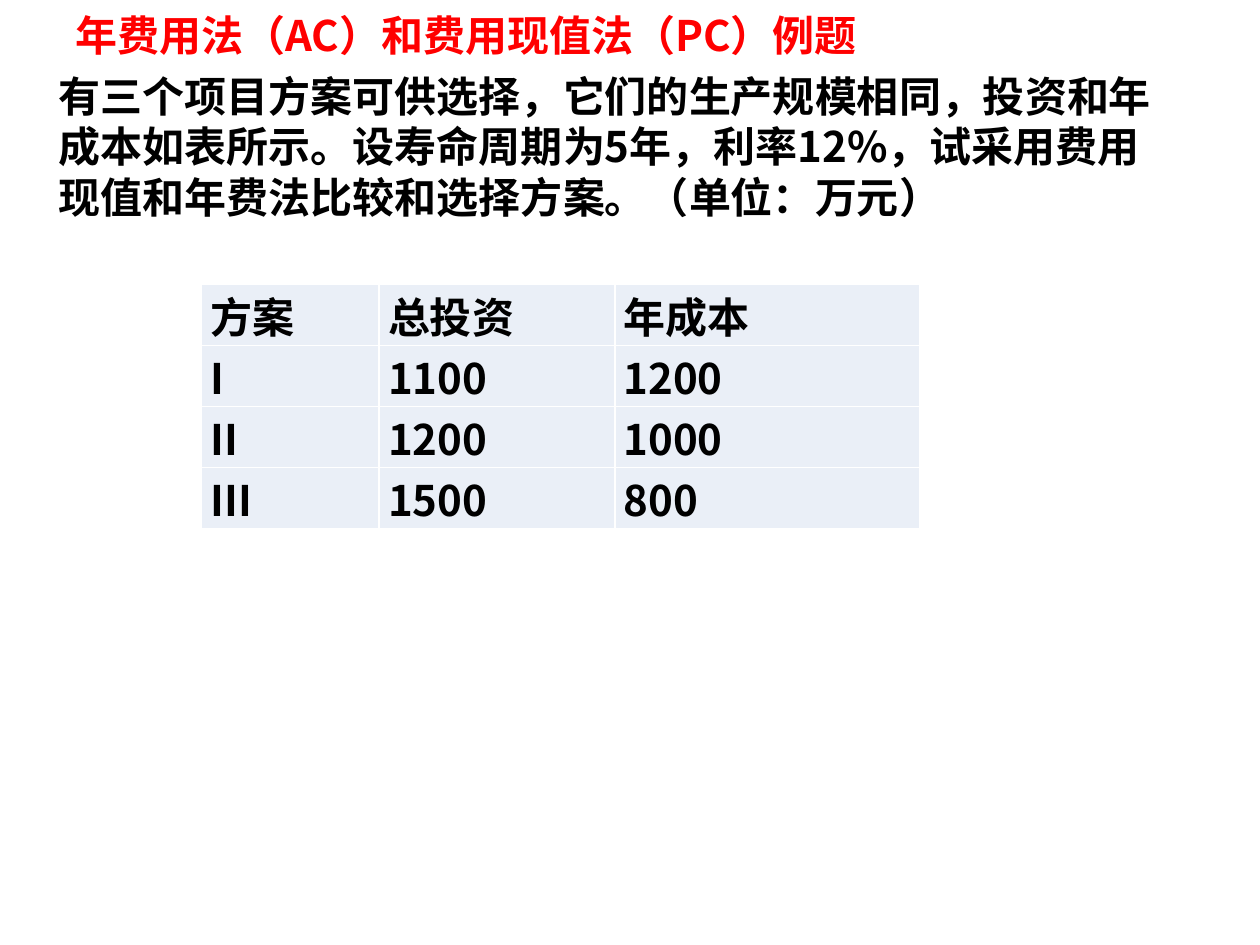
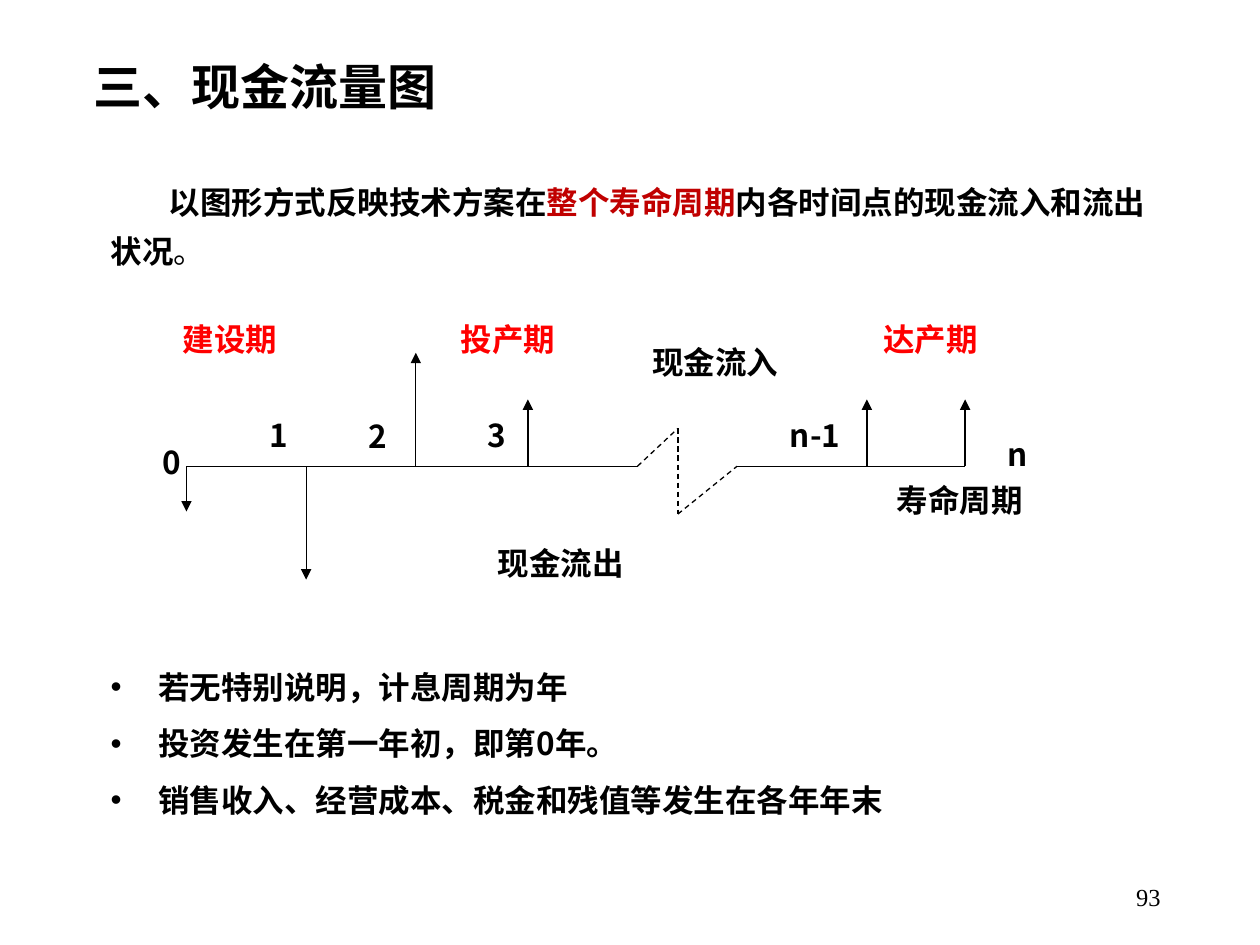
from dataclasses import dataclass

from lxml.etree import SubElement
from pptx import Presentation
from pptx.dml.color import RGBColor
from pptx.enum.dml import MSO_LINE
from pptx.enum.shapes import MSO_CONNECTOR
from pptx.enum.text import MSO_ANCHOR, PP_ALIGN
from pptx.oxml.ns import qn
from pptx.util import Inches, Pt


@dataclass(frozen=True)
class Theme:
    sans: str = "Noto Sans CJK SC"
    serif: str = "Times New Roman"
    ink: str = "000000"
    red: str = "FF0000"
    dark_red: str = "C00000"
    cell: str = "EAEFF7"
    rule: str = "FFFFFF"
    heading: int = 28
    large: int = 24
    body: int = 18
    page: int = 14
    line: float = 0.75


T = Theme()
WIDTH, HEIGHT = 10, 7.5

# ---- Content: example slide ----
EXAMPLE_TITLE = "年费用法（AC）和费用现值法（PC）例题"
EXAMPLE_TEXT = ("有三个项目方案可供选择，它们的生产规模相同，投资和年成本如表所示。"
                "设寿命周期为5年，利率12%，试采用费用现值和年费法比较和选择方案。（单位：万元）")
PLANS = [
    ("方案", "总投资", "年成本"),
    ("I", "1100", "1200"),
    ("II", "1200", "1000"),
    ("III", "1500", "800"),
]
PLAN_COLS = (1.41, 1.87, 2.42)
PLAN_ROW = 0.48

# ---- Content: cash flow slide ----
FLOW_TITLE = "三、现金流量图"
FLOW_TEXT = [  # text, colour, bold
    ("以图形方式反映技术方案在", T.ink, True),
    ("整个寿命周期", T.dark_red, True),
    ("内各时间点的现金流入和流出状况", T.ink, True),
    ("。", T.ink, False),
]
NOTES = ["若无特别说明，计息周期为年",
         "投资发生在第一年初，即第0年。",
         "销售收入、经营成本、税金和残值等发生在各年年末"]
PAGE = "93"

AXIS = 3.7  # height of the time axis
PERIOD_TOP = 2.49
PERIODS = [("建设期", 1.35), ("投产期", 3.56), ("达产期", 6.91)]
FLOWS = [  # x, signed length: inflow up, outflow down
    (1.48, -0.36), (2.43, -0.9), (3.3, 0.9),
    (4.19, 0.53), (6.88, 0.53), (7.66, 0.53),
]
AXIS_PARTS = [(1.48, 5.06), (5.85, 7.66)]
BREAK = [(5.06, AXIS), (5.38, AXIS - 0.3), (5.38, AXIS + 0.38), (5.85, AXIS)]
LABELS = [  # text, left, offset of the box top from the axis, width
    ("0", 1.19, -0.23, 0.55), ("1", 2.04, -0.45, 1.03),
    ("2", 2.83, -0.44, 0.63), ("3", 3.77, -0.45, 0.63),
    ("n-1", 6.17, -0.45, 0.95), ("n", 7.9, -0.3, 0.95),
    ("寿命周期", 7.02, 0.07, 1.58), ("现金流出", 3.85, 0.57, 1.82),
    ("现金流入", 5.08, -1.03, 2.05),
]


# ---- Helpers ----
def add_run(p, text, size, color=T.ink, bold=True, font=T.sans):
    r = p.add_run()
    r.text = text
    r.font.size, r.font.bold, r.font.name = Pt(size), bold, font
    r.font.color.rgb = RGBColor.from_string(color)
    SubElement(r.font._element, qn("a:ea"), typeface=T.sans)


def add_box(s, left, top, width, height, anchor=MSO_ANCHOR.TOP, wrap=True):
    box = s.shapes.add_textbox(*map(Inches, (left, top, width, height)))
    tf = box.text_frame
    tf.word_wrap, tf.vertical_anchor = wrap, anchor
    return tf


def add_label(s, text, left, top, width, height=0.5, size=T.body, color=T.ink):
    add_run(add_box(s, left, top, width, height).paragraphs[0], text, size, color)


def add_line(s, start, end, dashed=False, arrow=False):
    points = map(Inches, (*start, *end))
    cx = s.shapes.add_connector(MSO_CONNECTOR.STRAIGHT, *points)
    cx.line.width = Pt(T.line)
    cx.line.color.rgb = RGBColor.from_string(T.ink)
    if dashed:
        cx.line.dash_style = MSO_LINE.DASH
    if arrow:
        SubElement(cx.line._get_or_add_ln(), qn("a:tailEnd"), type="triangle")
    SubElement(cx._element.spPr, qn("a:effectLst"))


def style_cell(cell):
    cell.margin_left = cell.margin_right = Inches(0.07)
    cell.margin_top = cell.margin_bottom = 0
    tc_pr = cell._tc.get_or_add_tcPr()
    for side in ("lnL", "lnR", "lnT", "lnB"):
        ln = SubElement(tc_pr, qn(f"a:{side}"), w=str(Pt(1)))
        fill = SubElement(ln, qn("a:solidFill"))
        SubElement(fill, qn("a:srgbClr"), val=T.rule)
    cell.fill.solid()
    cell.fill.fore_color.rgb = RGBColor.from_string(T.cell)


def add_plan_table(s, left, top):
    frame = s.shapes.add_table(
        len(PLANS), len(PLAN_COLS), Inches(left), Inches(top),
        Inches(sum(PLAN_COLS)), Inches(PLAN_ROW * len(PLANS)))
    table = frame.table
    table.first_row = table.horz_banding = False
    for col, width in zip(table.columns, PLAN_COLS):
        col.width = Inches(width)
    for row, values in zip(table.rows, PLANS):
        row.height = Inches(PLAN_ROW)
        for cell, value in zip(row.cells, values):
            style_cell(cell)
            p = cell.text_frame.paragraphs[0]
            p.alignment = PP_ALIGN.JUSTIFY
            add_run(p, value, T.large)


# ---- Slides ----
def build_example(s):
    add_plan_table(s, 1.6, 2.26)
    add_label(s, EXAMPLE_TEXT, 0.37, 0.51, 8.9, 1.62, T.large)
    add_label(s, EXAMPLE_TITLE, 0.5, 0.03, 6.8, 0.81, T.large, T.red)


def build_cash_flow(s):
    # Title and definition
    p = add_box(s, 0.32, 0.39, 3.57, 0.58, MSO_ANCHOR.MIDDLE, False).paragraphs[0]
    p.alignment = PP_ALIGN.CENTER
    add_run(p, FLOW_TITLE, T.heading)

    p = add_box(s, 0.78, 1.18, 8.43, 1.14, MSO_ANCHOR.MIDDLE).paragraphs[0]
    p.line_spacing = 1.3
    p._p.get_or_add_pPr().set("indent", str(Inches(0.46)))
    for text, color, bold in FLOW_TEXT:
        add_run(p, text, T.body, color, bold, T.serif)

    # Time axis with its break, then the flows
    for x1, x2 in AXIS_PARTS:
        add_line(s, (x1, AXIS), (x2, AXIS))
    for start, end in zip(BREAK, BREAK[1:]):
        add_line(s, start, end, dashed=True)
    for x, length in FLOWS:
        add_line(s, (x, AXIS), (x, AXIS - length), arrow=True)

    # Diagram labels
    for text, left, offset, width in LABELS:
        add_label(s, text, left, AXIS + offset, width)
    for text, left in PERIODS:
        add_label(s, text, left, PERIOD_TOP, 1.35, color=T.red)

    # Bulleted notes
    tf = add_box(s, 0.78, 5.1, 8.47, 1.92)
    for i, note in enumerate(NOTES):
        p = tf.add_paragraph() if i else tf.paragraphs[0]
        p.line_spacing = 1.5
        p_pr = p._p.get_or_add_pPr()
        p_pr.set("marL", str(Inches(0.38)))
        p_pr.set("indent", str(-Inches(0.38)))
        SubElement(p_pr, qn("a:buFont"), typeface="Arial")
        SubElement(p_pr, qn("a:buChar"), char="•")
        add_run(p, note, T.body)

    # Page number
    p = add_box(s, 7.06, 6.95, 2.25, 0.4).paragraphs[0]
    p.alignment = PP_ALIGN.RIGHT
    add_run(p, PAGE, T.page, bold=False, font=T.serif)


def main():
    prs = Presentation()
    prs.slide_width, prs.slide_height = Inches(WIDTH), Inches(HEIGHT)
    for build in (build_example, build_cash_flow):
        build(prs.slides.add_slide(prs.slide_layouts[6]))
    prs.save("out.pptx")


if __name__ == "__main__":
    main()
